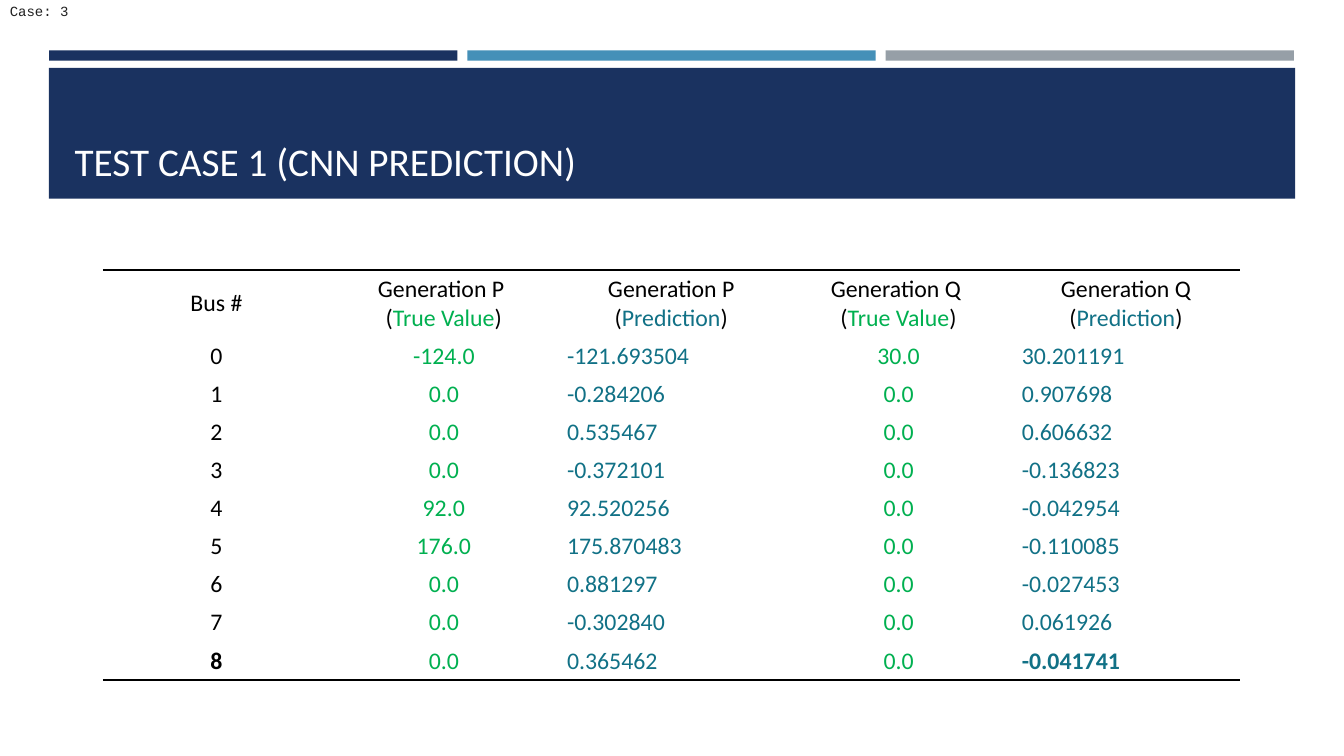
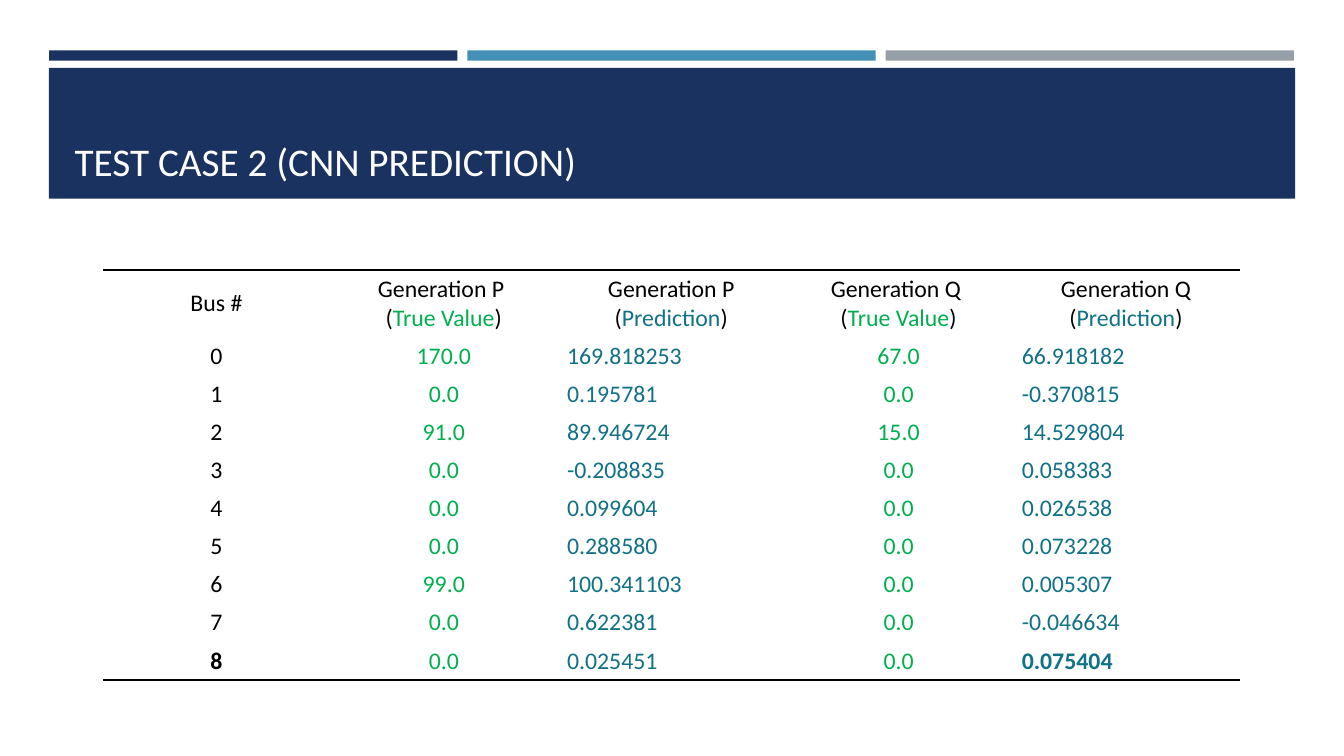
from dataclasses import dataclass

from lxml import etree
from pptx import Presentation
from pptx.dml.color import RGBColor
from pptx.enum.shapes import MSO_SHAPE
from pptx.enum.text import MSO_ANCHOR, PP_ALIGN
from pptx.oxml.ns import qn
from pptx.slide import Slide
from pptx.table import _Cell
from pptx.text.text import TextFrame, _Paragraph
from pptx.util import Cm, Pt

RECTANGLE = MSO_SHAPE.RECTANGLE
TOP, MIDDLE, BOTTOM = MSO_ANCHOR.TOP, MSO_ANCHOR.MIDDLE, MSO_ANCHOR.BOTTOM
LEFT, CENTER = PP_ALIGN.LEFT, PP_ALIGN.CENTER

NAVY = RGBColor(0x1A, 0x32, 0x60)
BLUE = RGBColor(0x45, 0x90, 0xB8)
GRAY = RGBColor(0x96, 0x9F, 0xA7)
WHITE = RGBColor(0xFF, 0xFF, 0xFF)
BLACK = RGBColor(0x00, 0x00, 0x00)
INK = RGBColor(0x21, 0x21, 0x21)
GREEN = RGBColor(0x00, 0xB0, 0x50)
TEAL = RGBColor(0x11, 0x71, 0x86)

PLAIN_TABLE_STYLE = "{2D5ABB26-0587-4C30-8999-92F81FD0307C}"
HEADER_HEIGHT, ROW_HEIGHT, COLUMN_WIDTH = 1.65, 0.94, 5.73
RULE_POINTS = 2


@dataclass(frozen=True)
class Area:
    left: float
    top: float
    width: float
    height: float

    def lengths(self) -> tuple[Cm, Cm, Cm, Cm]:
        return Cm(self.left), Cm(self.top), Cm(self.width), Cm(self.height)


@dataclass(frozen=True)
class Band:
    area: Area
    color: RGBColor


@dataclass(frozen=True)
class TextStyle:
    size: float
    color: RGBColor
    font: str = "Calibri"
    bold: bool = False


@dataclass(frozen=True)
class Column:
    leads: tuple[str, ...]
    measure: str
    color: RGBColor
    align: PP_ALIGN


@dataclass(frozen=True)
class TestCase:
    title: str
    rows: tuple[tuple[str, str, str, str], ...]
    label: str = ""


BANDS = [
    Band(Area(1.24 + 10.54 * index, 1.27, 10.29, 0.26), color)
    for index, color in enumerate((NAVY, BLUE, GRAY))
] + [Band(Area(1.23, 1.71, 31.41, 3.3), NAVY)]
TITLE_AREA = Area(1.63, 1.96, 30.63, 2.82)
LABEL_AREA = Area(0, 0, 33.87, 1.27)
TITLE_STYLE = TextStyle(28, WHITE)
LABEL_STYLE = TextStyle(10, INK, "Courier New")

COLUMNS = (
    Column(("Bus #",), "", BLACK, CENTER),
    Column(("Generation P ", "("), "True Value", GREEN, CENTER),
    Column(("Generation P (",), "Prediction", TEAL, LEFT),
    Column(("Generation Q ", "("), "True Value", GREEN, CENTER),
    Column(("Generation Q (",), "Prediction", TEAL, LEFT),
)

CASES = (
    TestCase("TEST CASE 1 (CNN PREDICTION)", (
        ("-124.0", "-121.693504", "30.0", "30.201191"),
        ("0.0", "-0.284206", "0.0", "0.907698"),
        ("0.0", "0.535467", "0.0", "0.606632"),
        ("0.0", "-0.372101", "0.0", "-0.136823"),
        ("92.0", "92.520256", "0.0", "-0.042954"),
        ("176.0", "175.870483", "0.0", "-0.110085"),
        ("0.0", "0.881297", "0.0", "-0.027453"),
        ("0.0", "-0.302840", "0.0", "0.061926"),
        ("0.0", "0.365462", "0.0", "-0.041741"),
    ), "Case: 3"),
    TestCase("TEST CASE 2 (CNN PREDICTION)", (
        ("170.0", "169.818253", "67.0", "66.918182"),
        ("0.0", "0.195781", "0.0", "-0.370815"),
        ("91.0", "89.946724", "15.0", "14.529804"),
        ("0.0", "-0.208835", "0.0", "0.058383"),
        ("0.0", "0.099604", "0.0", "0.026538"),
        ("0.0", "0.288580", "0.0", "0.073228"),
        ("99.0", "100.341103", "0.0", "0.005307"),
        ("0.0", "0.622381", "0.0", "-0.046634"),
        ("0.0", "0.025451", "0.0", "0.075404"),
    )),
)


def set_formats(target: object, formats: dict[str, object]) -> None:
    for name, value in formats.items():
        setattr(target, name, value)


def add_span(para: _Paragraph, text: str, style: TextStyle) -> None:
    span = para.add_run()
    span.text = text
    set_formats(span.font, {
        "name": style.font, "size": Pt(style.size), "bold": style.bold,
    })
    span.font.color.rgb = style.color


def add_band(page: Slide, band: Band) -> None:
    box = page.shapes.add_shape(RECTANGLE, *band.area.lengths())
    box.shadow.inherit = False
    box.fill.solid()
    box.fill.fore_color.rgb = band.color
    box.line.fill.background()


def add_text(page: Slide, area: Area, text: str, style: TextStyle,
             anchor: MSO_ANCHOR, inset: float) -> None:
    frame = page.shapes.add_textbox(*area.lengths()).text_frame
    set_formats(frame, {
        "word_wrap": True, "vertical_anchor": anchor,
        "margin_top": Cm(inset), "margin_bottom": Cm(inset),
    })
    add_span(frame.paragraphs[0], text, style)


def add_rule(cell: _Cell, side: str) -> None:
    line = etree.Element(qn(f"a:{side}"), w=str(Pt(RULE_POINTS)))
    fill = etree.SubElement(line, qn("a:solidFill"))
    etree.SubElement(fill, qn("a:srgbClr"), val=str(BLACK))
    cell._tc.get_or_add_tcPr().insert(0, line)


def format_cell(cell: _Cell) -> None:
    set_formats(cell, {
        "vertical_anchor": MIDDLE,
        "margin_left": Cm(0.24), "margin_right": Cm(0.24),
        "margin_top": Cm(0.12), "margin_bottom": Cm(0.12),
    })
    cell.fill.solid()
    cell.fill.fore_color.rgb = WHITE


def write_heading(frame: TextFrame, column: Column) -> None:
    plain = TextStyle(17, BLACK)
    for index, lead in enumerate(column.leads):
        para = frame.add_paragraph() if index else frame.paragraphs[0]
        para.alignment = CENTER
        add_span(para, lead, plain)
    if column.measure:
        add_span(para, column.measure, TextStyle(17, column.color))
        add_span(para, ")", plain)


def add_results(page: Slide, case: TestCase) -> None:
    last_row, last_column = len(case.rows), len(COLUMNS) - 1
    area = Area(2.59, 6.8, COLUMN_WIDTH * len(COLUMNS),
                HEADER_HEIGHT + ROW_HEIGHT * last_row)
    frame = page.shapes.add_table(last_row + 1, len(COLUMNS), *area.lengths())
    table = frame.table
    set_formats(table, {"first_row": False, "horz_banding": False})
    table._tbl.tblPr.find(qn("a:tableStyleId")).text = PLAIN_TABLE_STYLE
    for index, row in enumerate(table.rows):
        row.height = Cm(ROW_HEIGHT if index else HEADER_HEIGHT)
    for position, column in enumerate(COLUMNS):
        table.columns[position].width = Cm(COLUMN_WIDTH)
        heading = table.cell(0, position)
        format_cell(heading)
        write_heading(heading.text_frame, column)
        add_rule(heading, "lnT")
        for bus, values in enumerate(case.rows):
            cell = table.cell(bus + 1, position)
            format_cell(cell)
            para = cell.text_frame.paragraphs[0]
            para.alignment = column.align
            bold = bus + 1 == last_row and position in (0, last_column)
            add_span(para, (str(bus), *values)[position],
                     TextStyle(17, column.color, bold=bold))
        add_rule(table.cell(last_row, position), "lnB")


def main() -> None:
    deck = Presentation()
    set_formats(deck, {"slide_width": Cm(33.87), "slide_height": Cm(19.05)})
    for case in CASES:
        page = deck.slides.add_slide(deck.slide_layouts[6])
        for band in BANDS:
            add_band(page, band)
        add_text(page, TITLE_AREA, case.title, TITLE_STYLE, BOTTOM, 0.13)
        add_results(page, case)
        if case.label:
            add_text(page, LABEL_AREA, case.label, LABEL_STYLE, TOP, 0.06)
    deck.save("out.pptx")


main()
